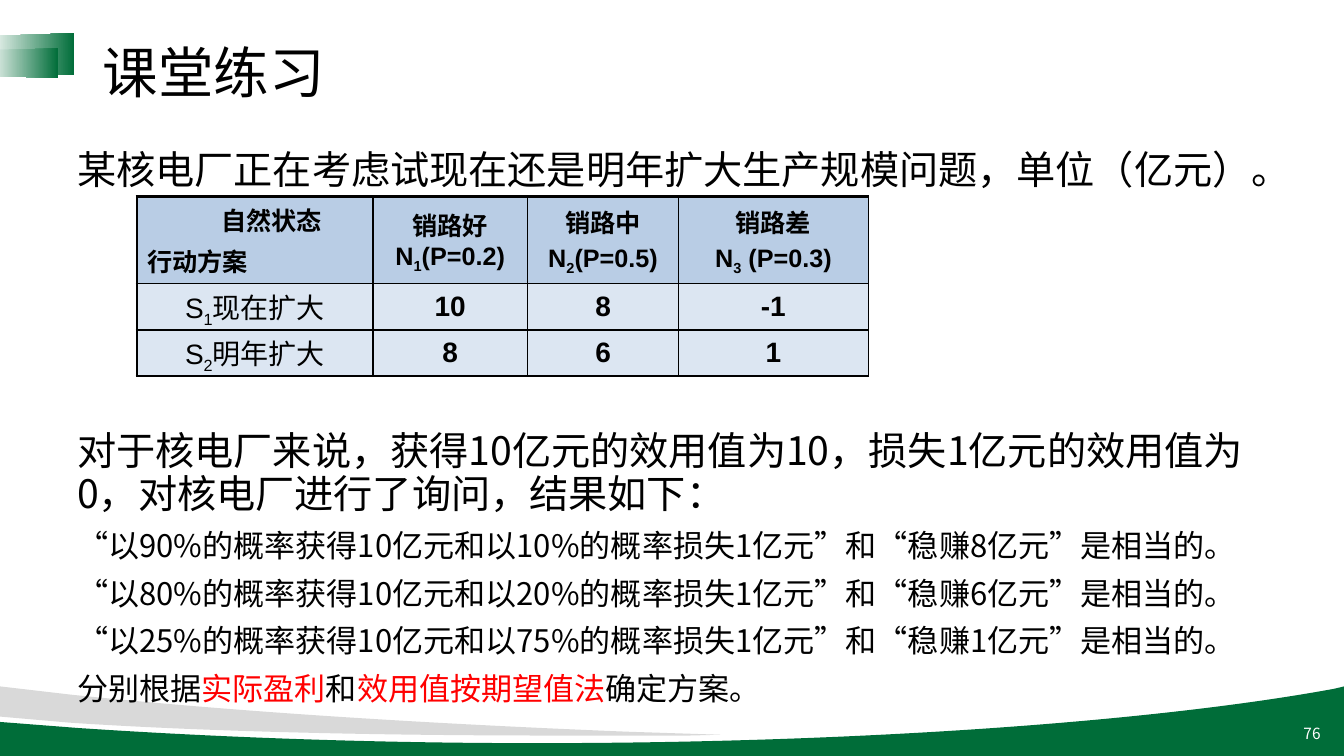
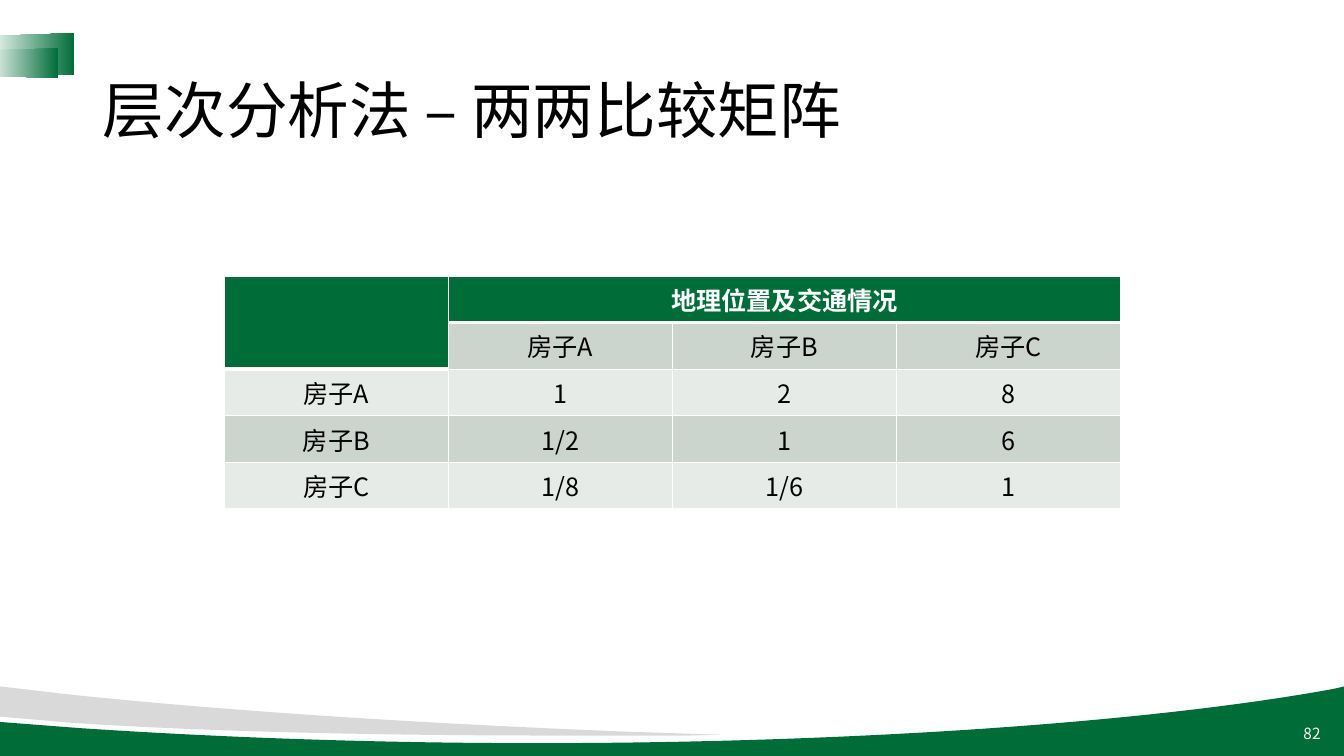
from lxml import etree
from pptx import Presentation
from pptx.dml.color import RGBColor
from pptx.enum.lang import MSO_LANGUAGE_ID
from pptx.enum.shapes import MSO_SHAPE
from pptx.enum.text import MSO_ANCHOR, MSO_AUTO_SIZE, PP_ALIGN
from pptx.oxml.ns import qn
from pptx.util import Inches, Pt

LEFT, CENTER, RIGHT = PP_ALIGN.LEFT, PP_ALIGN.CENTER, PP_ALIGN.RIGHT
MIDDLE = MSO_ANCHOR.MIDDLE
NO_AUTOFIT = MSO_AUTO_SIZE.NONE
TRAPEZOID = MSO_SHAPE.TRAPEZOID
CHINESE = MSO_LANGUAGE_ID.SIMPLIFIED_CHINESE

SANS, LATIN = "Noto Sans CJK SC", "Arial"
GREEN, GREY, WHITE, BLACK, RED = "006D39", "D9D9D9", "FFFFFF", "000000", "FF0000"
BLUE, PALE_BLUE = "B9CDE5", "DCE6F2"
SAGE, PALE_SAGE = "CCD4CE", "E7EBE8"

prs = Presentation()
prs.slide_width, prs.slide_height = Inches(40 / 3), Inches(7.5)
# The grid has 1000 columns and 1000 rows
COL, ROW = prs.slide_width // 1000, prs.slide_height // 1000


def paint(fill, colour):
    fill.solid()
    fill.fore_color.rgb = RGBColor.from_string(colour)


def write(paragraph, text, look, accent=None):
    """Add text as runs; every second part between bars takes the accent."""
    for index, part in enumerate(text.split("|")):
        run = paragraph.add_run()
        run.text = part
        values = {"name": SANS, "language_id": CHINESE, "colour": BLACK, **look}
        if index % 2:
            values.update(accent)
        paint(run.font.fill, values.pop("colour"))
        properties = run._r.get_or_add_rPr()
        if "baseline" in values:
            properties.set("baseline", values.pop("baseline"))
        for attribute, value in values.items():
            setattr(run.font, attribute, value)
        etree.SubElement(properties, qn("a:ea"), typeface=SANS)


# Slides with title and page number
slides = []
for layout, title, size, title_rows, page in [
    (1, "课堂练习", 39.6, 93, "76"),
    (5, "层次分析法 – 两两比较矩阵", 44, 194, "82"),
]:
    slide = prs.slides.add_slide(prs.slide_layouts[layout])
    slides.append(slide)
    heading = slide.shapes.title
    heading.left, heading.top = 69 * COL, 53 * ROW
    heading.width, heading.height = 862 * COL, title_rows * ROW
    number = slide.shapes.add_textbox(765 * COL, 945 * ROW, 225 * COL, 53 * ROW)
    for holder, text, points, colour, align in [
        (heading, title, size, BLACK, LEFT),
        (number, page, 11, WHITE, RIGHT),
    ]:
        frame = holder.text_frame
        frame.word_wrap, frame.auto_size = True, NO_AUTOFIT
        frame.vertical_anchor = MIDDLE
        line = frame.paragraphs[0]
        line.alignment, line.line_spacing = align, 0.9
        write(line, text, {"size": Pt(points), "colour": colour})
exercise, comparison = slides

# Bands at the foot and ribbons at the top, moved to the master.
# One point is a straight step, three points are a Bézier step.
waves = [
    (GREEN, (1000, 908), [
        [(1000, 1000)], [(0, 1000)], [(0, 955)], [(58, 963)],
        [(159, 975), (275, 983), (399, 983)],
        [(647, 983), (865, 953), (993, 911)],
    ]),
    (GREY, (0, 908), [
        [(53, 919)],
        [(172, 941), (313, 957), (467, 968)],
        [(536, 972)], [(513, 973)],
        [(480, 973), (446, 973), (411, 973)],
        [(271, 973), (144, 967), (52, 956)],
        [(0, 948)],
    ]),
]
decorations = []
for colour, start, segments in waves:
    builder = exercise.shapes.build_freeform(*start, scale=(COL, ROW))
    builder.add_line_segments([knot for segment in segments for knot in segment])
    wave = builder.convert_to_shape()
    steps = wave.element.iter(qn("a:lnTo"))
    for segment, knots in zip(segments, [[next(steps) for _ in s] for s in segments]):
        if len(segment) == 3:
            curve, *others = knots
            curve.tag = qn("a:cubicBezTo")
            for other in others:
                curve.append(other[0])
                other.getparent().remove(other)
    paint(wave.fill, colour)
    decorations.append(wave)

for left, top, width, height in [(7, 13, 31, 117), (5, 35, 22, 97)]:
    ribbon = exercise.shapes.add_shape(
        TRAPEZOID, left * COL, top * ROW, width * COL, height * ROW)
    ribbon.rotation = 270
    ribbon.adjustments[0] = 0.07
    ribbon.fill.gradient()
    ribbon.fill.gradient_angle = 270
    for stop, colour, position in zip(ribbon.fill.gradient_stops, (WHITE, GREEN), (0, 1)):
        stop.color.rgb = RGBColor.from_string(colour)
        stop.position = position
    decorations.append(ribbon)

for index, decoration in enumerate(decorations):
    decoration.shadow.inherit = False
    decoration.line.fill.background()
    prs.slide_master.shapes.element.insert(2 + index, decoration.element)

# Exercise text; the second paragraph leaves room for the table
body = exercise.placeholders[1]
body.left, body.top, body.width, body.height = 50 * COL, 192 * ROW, 914 * COL, 772 * ROW
body.text_frame.auto_size = NO_AUTOFIT
statements = [
    ("某核电厂正在考虑试现在还是明年扩大生产规模问题，单位（亿元）。", 28, 0),
    ("对于核电厂来说，获得10亿元的效用值为10，损失1亿元的效用值为0，"
     "对核电厂进行了询问，结果如下：", 28, 171),
]
for win, lose, sure in [(90, 10, 8), (80, 20, 6), (25, 75, 1)]:
    statements.append((
        f"“以{win}%的概率获得10亿元和以{lose}%的概率损失1亿元”"
        f"和“稳赚{sure}亿元”是相当的。", 22.2, 10))
statements.append(("分别根据|实际盈利|和|效用值按期望值法|确定方案。", 22.2, 10))
for index, (text, size, gap) in enumerate(statements):
    frame = body.text_frame
    line = frame.add_paragraph() if index else frame.paragraphs[0]
    properties = line._p.get_or_add_pPr()
    properties.set("marL", "0")
    properties.set("indent", "0")
    etree.SubElement(properties, qn("a:buNone"))
    line.line_spacing, line.space_before = 0.9, Pt(gap)
    write(line, text, {"size": Pt(size)}, {"colour": RED})

# Tables; rules are line widths from edge to edge
head = {"name": LATIN, "size": Pt(18), "bold": True}
payoff = {**head, "size": Pt(20)}
plain = {"size": Pt(18)}
tables = [
    {
        "slide": exercise, "at": (102, 260),
        "widths": [175.5, 115, 112.5, 141], "heights": [115, 61, 61],
        "row_rules": [2.25, 1, 1, 2.25], "col_rules": [2.25, 1, 1, 1, 1],
        "rule_colour": BLACK, "merges": [],
        "rows": [
            (BLUE, head, ["自然状态\n行动方案", "销路好N|1|(P=0.2)",
                          "销路中\nN|2|(P=0.5)", "销路差\nN|3| (P=0.3)"]),
            (PALE_BLUE, payoff, ["S|1|现在扩大", "10", "8", "-1"]),
            (PALE_BLUE, payoff, ["S|2|明年扩大", "8", "6", "1"]),
        ],
    },
    {
        "slide": comparison, "at": (167, 365),
        "widths": [166.67] * 4, "heights": [61] * 5,
        "row_rules": [1, 3, 1, 1, 1, 1], "col_rules": [1] * 5,
        "rule_colour": WHITE, "merges": [((0, 0), (1, 0)), ((0, 1), (0, 3))],
        "rows": [
            (GREEN, {**plain, "bold": True, "colour": WHITE},
             ["", "地理位置及交通情况", "", ""]),
            (SAGE, plain, ["", "房子A", "房子B", "房子C"]),
            (PALE_SAGE, plain, ["房子A", "1", "2", "8"]),
            (SAGE, plain, ["房子B", "1/2", "1", "6"]),
            (PALE_SAGE, plain, ["房子C", "1/8", "1/6", "1"]),
        ],
    },
]
grids = []
for spec in tables:
    widths, heights = spec["widths"], spec["heights"]
    grid = spec["slide"].shapes.add_table(
        len(heights), len(widths), spec["at"][0] * COL, spec["at"][1] * ROW,
        int(sum(widths) * COL), sum(heights) * ROW).table
    grids.append(grid)
    grid.first_row = grid.horz_banding = False
    for column, width in zip(grid.columns, widths):
        column.width = int(width * COL)
    for row, height in zip(grid.rows, heights):
        row.height = height * ROW
    for first, last in spec["merges"]:
        grid.cell(*first).merge(grid.cell(*last))

    for r, (fill, look, texts) in enumerate(spec["rows"]):
        for c, text in enumerate(texts):
            cell = grid.cell(r, c)
            cell.vertical_anchor = MIDDLE
            edges = {
                "a:lnL": spec["col_rules"][c], "a:lnR": spec["col_rules"][c + 1],
                "a:lnT": spec["row_rules"][r], "a:lnB": spec["row_rules"][r + 1],
            }
            for edge, width in edges.items():
                rule = etree.SubElement(
                    cell._tc.get_or_add_tcPr(), qn(edge), w=str(int(Pt(width))))
                solid = etree.SubElement(rule, qn("a:solidFill"))
                etree.SubElement(solid, qn("a:srgbClr"), val=spec["rule_colour"])
            paint(cell.fill, fill)
            if not text:
                continue
            for index, part in enumerate(text.split("\n")):
                frame = cell.text_frame
                line = frame.add_paragraph() if index else frame.paragraphs[0]
                line.alignment = CENTER
                line.space_before = Pt(3 * index)
                write(line, part, look, {"baseline": "-25000"})

# Corner cell and plan names of the payoff table
payoffs = grids[0]
states, plans = payoffs.cell(0, 0).text_frame.paragraphs
states.alignment = plans.alignment = LEFT
states._p.get_or_add_pPr().set("marL", str(55 * COL))
for r in (1, 2):
    plan = payoffs.cell(r, 0)
    plan.margin_left = plan.margin_right = plan.margin_top = Inches(0.01)
    plan.margin_bottom = 0
    for run in plan.text_frame.paragraphs[0].runs:
        run.font.bold = False

# The merged corner of the comparison matrix takes the header colour
paint(grids[1].cell(1, 0).fill, GREEN)

prs.save("out.pptx")
